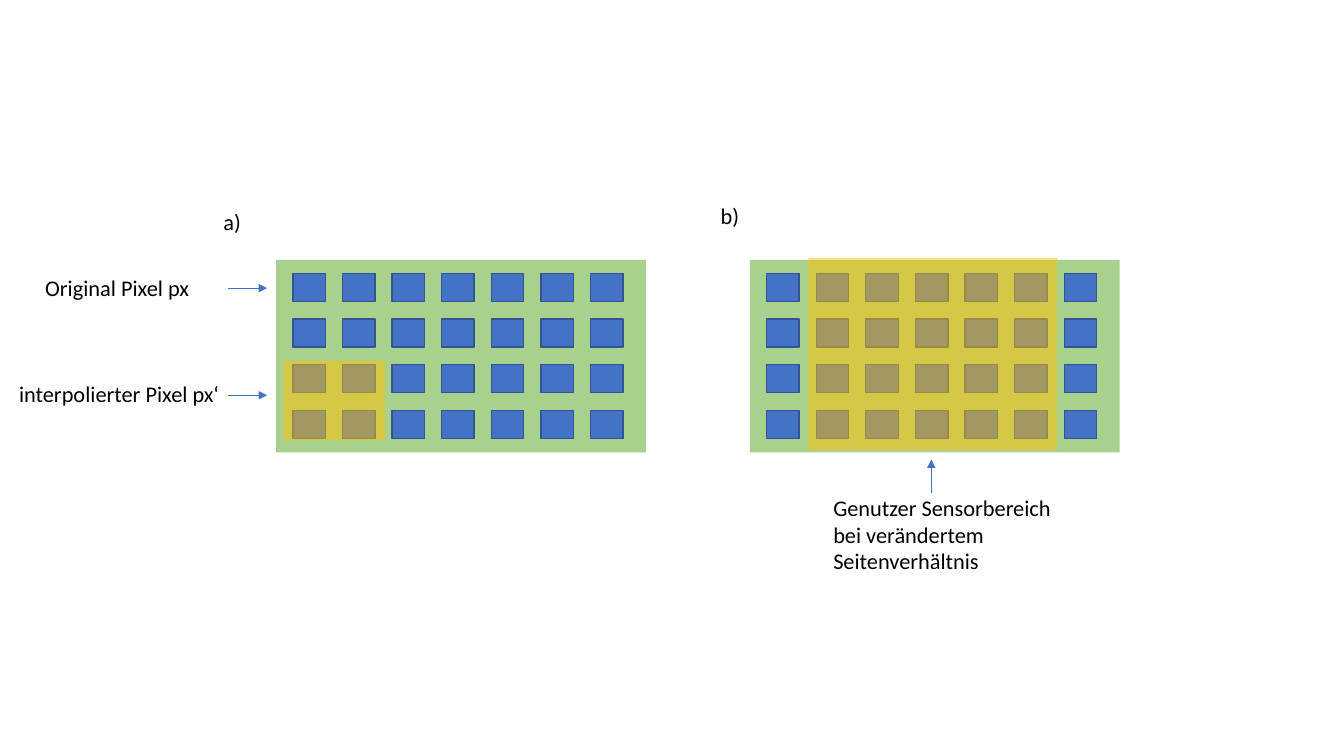
import pptx
import pptx.util
import pptx.dml.color
import pptx.enum.shapes
import pptx.enum.text
import pptx.oxml.ns
from lxml import etree

Cm, Pt = pptx.util.Cm, pptx.util.Pt
RGBColor = pptx.dml.color.RGBColor
qn = pptx.oxml.ns.qn

GREEN = RGBColor(0xA9, 0xD1, 0x8E)
BLUE = RGBColor(0x44, 0x72, 0xC4)
DARK_BLUE = RGBColor(0x32, 0x54, 0x91)
AMBER = RGBColor(0xFF, 0xC0, 0x00)
BLACK = RGBColor(0, 0, 0)

# All lengths in cm; boxes are left, top, width, height
SENSOR_TOP, SENSOR_W, SENSOR_H = 6.55, 9.32, 4.85
COLS, ROWS = 7, 4
PIXEL_W, PIXEL_H = 0.82, 0.71
PITCH_X, PITCH_Y = 1.25, 1.15
MARGIN_X, MARGIN_Y = 0.42, 0.34

# Left edge of each sensor and the area highlighted on it
SENSORS = [
    (6.96, (7.14, 9.09, 2.57, 2.01)),
    (18.9, (20.37, 6.5, 6.27, 4.85)),
]
# Text, box, wrap
LABELS = [
    ("Original Pixel px", (0.89, 6.78, 4.17, 0.94), False),
    ("interpolierter Pixel px‘", (0.23, 9.45, 5.61, 0.94), False),
    ("Genutzer Sensorbereich bei verändertem Seitenverhältnis",
     (20.75, 12.32, 6.07, 2.31), True),
    ("a)", (5.38, 5.13, 0.97, 0.94), False),
    ("b)", (17.91, 4.98, 0.99, 0.94), False),
]
# Start x, y and end x, y
ARROWS = [
    (5.74, 7.26, 6.73, 7.26),
    (5.74, 9.96, 6.73, 9.96),
    (23.47, 12.42, 23.47, 11.58),
]


def add_rect(s, box, fill, line=None, opacity=None):
    sp = s.shapes.add_shape(pptx.enum.shapes.MSO_SHAPE.RECTANGLE, *map(Cm, box))
    sp.shadow.inherit = False
    sp.fill.solid()
    sp.fill.fore_color.rgb = fill
    if opacity:
        color = sp.fill._xPr.find(qn("a:solidFill"))[0]
        etree.SubElement(color, qn("a:alpha"), val=str(opacity * 1000))
    if line:
        sp.line.color.rgb = line
        sp.line.width = Pt(1)
    else:
        sp.line.fill.background()


def add_sensor(s, left, highlight):
    add_rect(s, (left, SENSOR_TOP, SENSOR_W, SENSOR_H), GREEN)
    for row in range(ROWS):
        for col in range(COLS):
            x = left + MARGIN_X + col * PITCH_X
            y = SENSOR_TOP + MARGIN_Y + row * PITCH_Y
            add_rect(s, (x, y, PIXEL_W, PIXEL_H), BLUE, DARK_BLUE)
    add_rect(s, highlight, AMBER, opacity=50)


def add_label(s, text, box, wrap):
    tf = s.shapes.add_textbox(*map(Cm, box)).text_frame
    tf.word_wrap = wrap
    tf.auto_size = pptx.enum.text.MSO_AUTO_SIZE.SHAPE_TO_FIT_TEXT
    tf.text = text
    font = tf.paragraphs[0].runs[0].font
    font.name, font.size = "Calibri", Pt(16)
    font.color.rgb = BLACK


def add_arrow(s, ends):
    line = s.shapes.add_connector(
        pptx.enum.shapes.MSO_CONNECTOR.STRAIGHT, *map(Cm, ends))
    line.line.color.rgb = BLUE
    line.line.width = Pt(0.5)
    etree.SubElement(line.line._get_or_add_ln(), qn("a:tailEnd"), type="triangle")
    etree.SubElement(line._element.spPr, qn("a:effectLst"))


def main():
    prs = pptx.Presentation()
    prs.slide_width, prs.slide_height = Cm(33.87), Cm(19.05)
    s = prs.slides.add_slide(prs.slide_layouts[6])
    for left, highlight in SENSORS:
        add_sensor(s, left, highlight)
    for text, box, wrap in LABELS:
        add_label(s, text, box, wrap)
    for ends in ARROWS:
        add_arrow(s, ends)
    prs.save("out.pptx")


if __name__ == "__main__":
    main()
